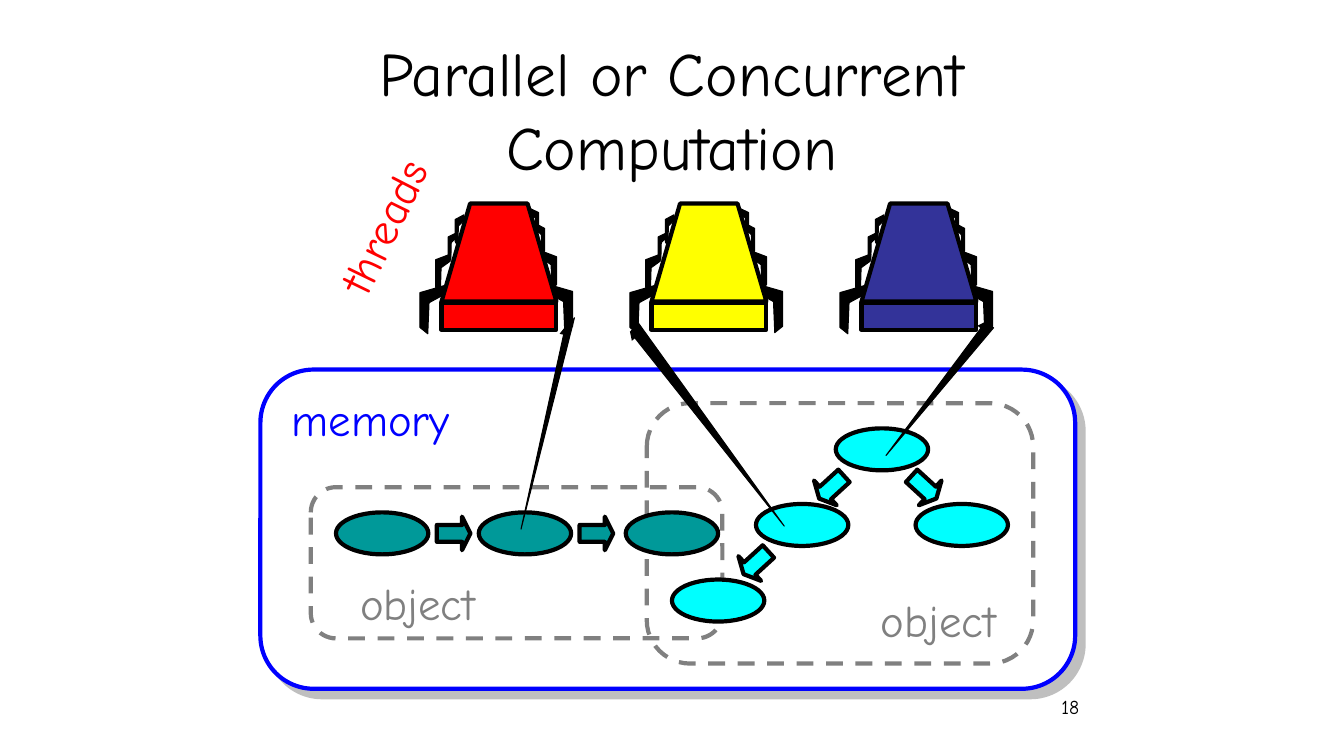
"""Build a slide showing threads that share objects in memory."""
from lxml import etree
from pptx import Presentation
from pptx.dml.color import RGBColor
from pptx.enum.dml import MSO_LINE
from pptx.enum.shapes import MSO_SHAPE as Preset
from pptx.enum.text import MSO_ANCHOR, MSO_AUTO_SIZE, PP_ALIGN
from pptx.oxml.ns import qn
from pptx.util import Pt

FONT = "Comic Neue"
BLACK, BLUE, GRAY, RED = "000000", "0000FF", "808080", "FF0000"
TEAL, CYAN = "009999", "00FFFF"

TITLE = ("Parallel or Concurrent Computation", (174, 33, 612, 90))
LABELS = [
    ("memory", (198, 276, 130.5, 45), 32, BLUE, 0),
    ("object", (234, 408, 112.5, 45), 32, GRAY, 0),
    ("object", (606, 420, 112.5, 45), 32, GRAY, 0),
    ("threads", (204, 146, 131.5, 45), 32, RED, 295.9),
    ("18", (628, 492.5, 150, 36), 14, BLACK, 0),
]
MEMORY = (186, 264, 582, 228)
OBJECTS = [(222, 348, 294, 108), (462, 288, 276, 186)]
NODES = {
    TEAL: [(240, 366), (342, 366), (447, 366)],
    CYAN: [(597, 306), (540, 360), (654, 360), (480, 414)],
}
LINKS = {
    TEAL: [(312, 369, 0), (414, 369, 0)],
    CYAN: [(648, 336, 42.5), (582, 336, 137.5), (528, 390, 137.5)],
}
THREAD_COLORS = [RED, "FFFF00", "333399"]
THREAD_LEFT, THREAD_STEP = 300, 150
THREAD_BODY = [(15.4, 215.3), (35.8, 145.4), (76.8, 145.4), (97.4, 215.3)]
THREAD_FRONT = (15.4, 216, 82, 19.6)
LEG_OUTLINE = [(0, 0), (1, 0.15), (1, 0.87), (0.69, 1), (0.64, 0.36), (0.04, 0.19)]
LEG_SIZES = [(18, 34.6), (10.8, 27.4), (6.2, 22.3), (6, 19.4)]
RIGHT_LEGS = [(91, 203), (86.8, 179.3), (82.8, 159.8), (78.8, 149)]
LEFT_LEGS = [(0, 203.8), (11.2, 181.4), (25.2, 153.4), (20.2, 166.3)]
POINTERS = [
    [(410.4, 226.8), (372.2, 378), (403.9, 233.3)],
    [(455.8, 230.4), (560.2, 375.8), (450, 236.9)],
    [(709.9, 234), (632.9, 325.4), (704.2, 229.7)],
]


def color(hex_text):
    """Return the colour for a hex string."""
    return RGBColor.from_string(hex_text)


def paint(shape, fill, line=BLACK, weight=3):
    """Set fill and outline, and remove the shadow."""
    shape.shadow.inherit = False
    if fill:
        shape.fill.solid()
        shape.fill.fore_color.rgb = color(fill)
    else:
        shape.fill.background()
    shape.line.color.rgb = color(line)
    shape.line.width = Pt(weight)
    return shape


def add_preset(kind, box, fill, line=BLACK):
    """Add a painted preset shape."""
    shape = slide.shapes.add_shape(kind, *map(Pt, box))
    return paint(shape, fill, line)


def add_outline(points, fill, weight, close=True):
    """Add a painted freeform through the points."""
    start, *others = [(Pt(x), Pt(y)) for x, y in points]
    builder = slide.shapes.build_freeform(*start)
    builder.add_line_segments(others, close=close)
    return paint(builder.convert_to_shape(), fill, weight=weight)


def write(shape, text, size, hex_text, align):
    """Write one formatted run into the shape."""
    paragraph = shape.text_frame.paragraphs[0]
    paragraph.alignment = align
    run = paragraph.add_run()
    run.text = text
    run.font.name = FONT
    run.font.size = Pt(size)
    run.font.color.rgb = color(hex_text)


def add_title(text, box):
    """Fill and place the title placeholder."""
    title = slide.shapes.title
    title.left, title.top, title.width, title.height = map(Pt, box)
    title.text_frame.word_wrap = True
    title.text_frame.auto_size = MSO_AUTO_SIZE.NONE
    title.text_frame.vertical_anchor = MSO_ANCHOR.MIDDLE
    write(title, text, 44, BLACK, PP_ALIGN.CENTER)


def add_label(text, box, size, hex_text, rotation):
    """Add a right-aligned label."""
    label = slide.shapes.add_textbox(*map(Pt, box))
    label.rotation = rotation
    label.text_frame.word_wrap = True
    write(label, text, size, hex_text, PP_ALIGN.RIGHT)


def add_shadow(shape):
    """Give the shape a half-transparent gray shadow to the lower right."""
    effects = shape.element.spPr.find(qn("a:effectLst"))
    shadow = etree.SubElement(effects, qn("a:outerShdw"), dist=str(Pt(8.5)), dir="2700000",
                              algn="ctr", rotWithShape="0")
    tint = etree.SubElement(shadow, qn("a:srgbClr"), val=GRAY)
    etree.SubElement(tint, qn("a:alpha"), val="50000")


def add_thread(left, fill):
    """Add a thread with four legs on each side."""
    for corners, mirrored in ((RIGHT_LEGS, False), (LEFT_LEGS, True)):
        for (x, y), (width, height) in zip(corners, LEG_SIZES):
            leg = [(left + x + width * (1 - u if mirrored else u), y + height * v)
                   for u, v in LEG_OUTLINE]
            add_outline(leg, BLACK, 0.75)
    add_outline([(left + x, y) for x, y in THREAD_BODY], fill, 3)
    x, *rest = THREAD_FRONT
    add_preset(Preset.RECTANGLE, (left + x, *rest), fill)


def add_pointer(points):
    """Add a thin wedge that ends in an arrowhead."""
    pointer = add_outline(points, BLACK, 0.75, close=False)
    outline = pointer.element.spPr.find(qn("a:ln"))
    etree.SubElement(outline, qn("a:tailEnd"), type="triangle")


presentation = Presentation()
presentation.slide_width, presentation.slide_height = Pt(960), Pt(540)
slide = presentation.slides.add_slide(presentation.slide_layouts[5])

add_title(*TITLE)
add_shadow(add_preset(Preset.ROUNDED_RECTANGLE, MEMORY, "FFFFFF", BLUE))
for index, fill in enumerate(THREAD_COLORS):
    add_thread(THREAD_LEFT + index * THREAD_STEP, fill)
for box in OBJECTS:
    frame = add_preset(Preset.ROUNDED_RECTANGLE, box, None, GRAY)
    frame.line.dash_style = MSO_LINE.DASH
for fill, corners in NODES.items():
    for corner in corners:
        add_preset(Preset.OVAL, (*corner, 66, 30), fill)
for fill, links in LINKS.items():
    for x, y, rotation in links:
        arrow = add_preset(Preset.RIGHT_ARROW, (x, y, 24, 24), fill)
        arrow.adjustments[1] = 0.25
        arrow.rotation = rotation
for label in LABELS:
    add_label(*label)
for points in POINTERS:
    add_pointer(points)

presentation.save("out.pptx")
